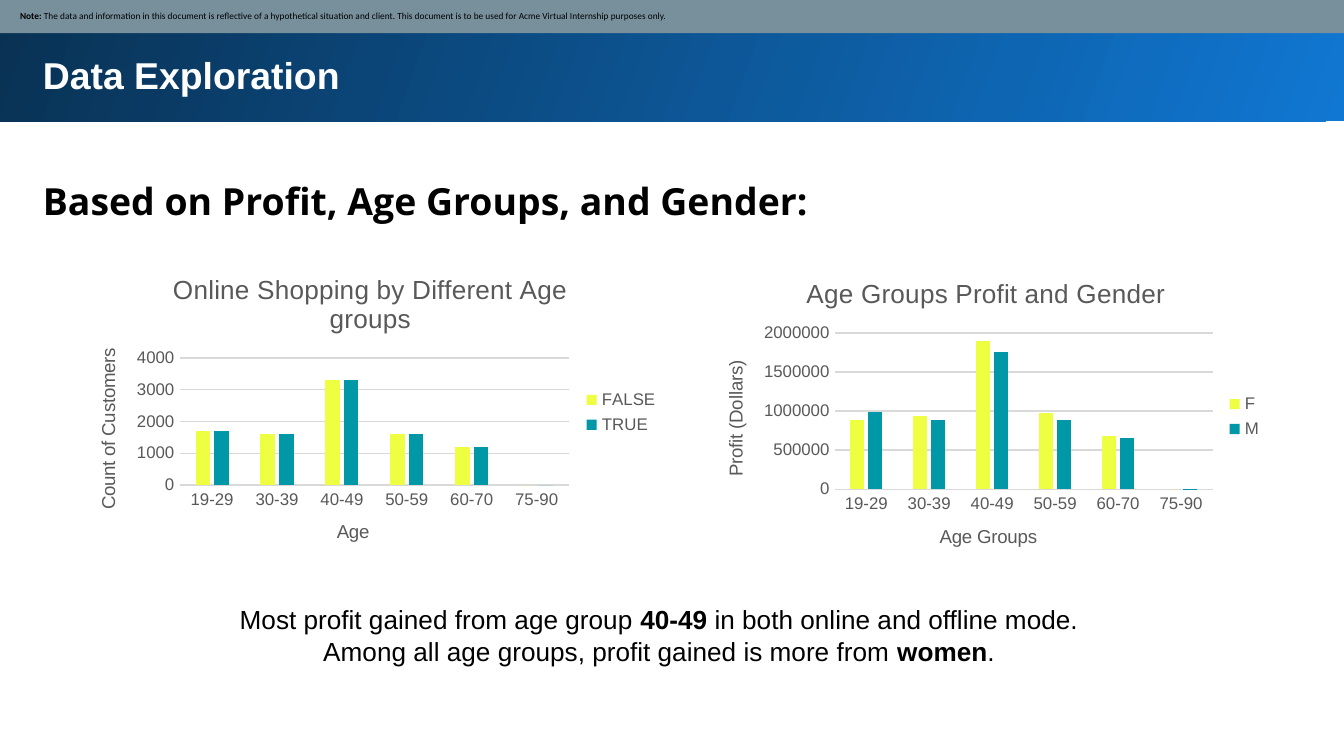
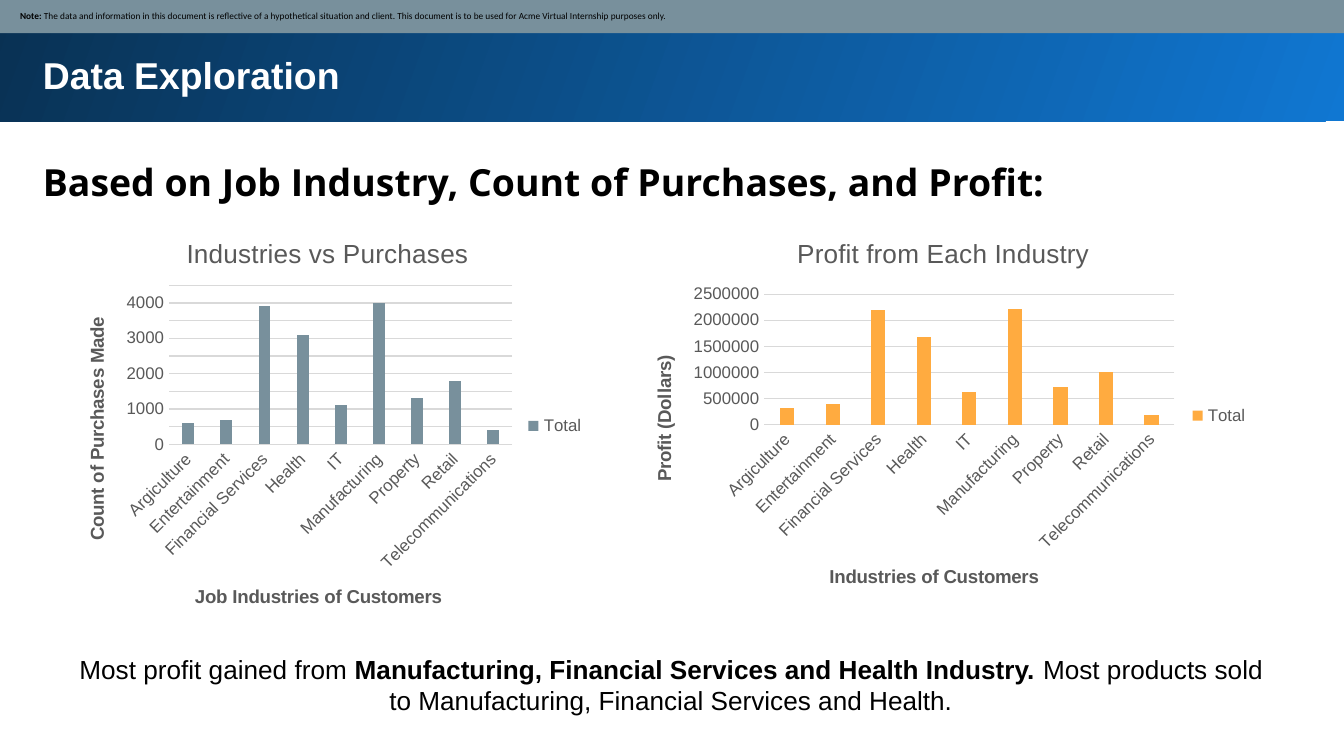
from pptx import Presentation
from pptx.chart.data import CategoryChartData
from pptx.dml.color import RGBColor
from pptx.enum.chart import XL_CHART_TYPE as CT, XL_LEGEND_POSITION as LP, XL_TICK_MARK as TM
from pptx.enum.shapes import MSO_SHAPE as SH
from pptx.enum.text import MSO_ANCHOR as VA, MSO_AUTO_SIZE as AS, PP_ALIGN as AL
from pptx.util import Cm, Pt

BLUE, NAVY, SLATE = "1077D2", "093153", "78909C"
LIME, TEAL, AMBER = "EEFF41", "0097A7", "FFAB40"
BLACK, WHITE, GRAY, GRID = "000000", "FFFFFF", "595959", "D9D9D9"
AGES = ["19-29", "30-39", "40-49", "50-59", "60-70", "75-90"]
INDUSTRIES = ["Argiculture", "Entertainment", "Financial Services", "Health", "IT",
              "Manufacturing", "Property", "Retail", "Telecommunications"]
NOTE = ("The data and information in this document is reflective of a hypothetical situation "
        "and client. This document is to be used for Acme Virtual Internship purposes only.")


def rgb(value):
    return RGBColor.from_string(value)


def put(obj, **values):
    for name, value in values.items():
        setattr(obj, name, value)


def style(font, size, color, name="Arial", bold=False):
    put(font, size=Pt(size), name=name, bold=bold)
    font.color.rgb = rgb(color)


class Deck:
    def __init__(self):
        self.prs = Presentation()
        put(self.prs, slide_width=Cm(25.4), slide_height=Cm(14.29))
        self.s = None

    def slide(self, title, headline, top):
        self.s = self.prs.slides.add_slide(self.prs.slide_layouts[5])
        fill = self.rect(-0.05, -0.05, 25.53, 2.34).fill
        fill.gradient()
        fill.gradient_angle = 160
        for stop, color, position in zip(fill.gradient_stops, (BLUE, NAVY), (0, 1)):
            stop.color.rgb = rgb(color)
            stop.position = position
        self.title(title)
        self.text(0.56, top, 23.8, 1.42, [[(headline, True)]], 20, "Open Sans",
                  inset=0.25, line_spacing=1.15)
        self.note()

    def rect(self, x, y, w, h):
        sp = self.s.shapes.add_shape(SH.RECTANGLE, Cm(x), Cm(y), Cm(w), Cm(h))
        sp.shadow.inherit = False
        sp.line.fill.background()
        return sp

    def title(self, words):
        sp = self.s.shapes.title
        put(sp, left=Cm(0.56), top=Cm(0.74), width=Cm(23.8), height=Cm(1.3))
        self.s.shapes._spTree.append(sp._element)
        self.set_text(sp.text_frame, [[(words, True)]], 20, color=WHITE, inset=0.25)

    def note(self):
        sp = self.rect(-0.03, -0.03, 25.48, 0.66)
        sp.fill.solid()
        sp.fill.fore_color.rgb = rgb(SLATE)
        self.set_text(sp.text_frame, [[("Note: ", True), (NOTE, False)]], 5, "Calibri")
        put(sp.text_frame, vertical_anchor=VA.MIDDLE, margin_left=Cm(0.41), auto_size=AS.NONE)

    def text(self, x, y, w, h, *args, **kw):
        sp = self.s.shapes.add_textbox(Cm(x), Cm(y), Cm(w), Cm(h))
        self.set_text(sp.text_frame, *args, **kw)

    def set_text(self, tf, paragraphs, size, font="Arial", color=BLACK, inset=0.13,
                 alignment=AL.LEFT, line_spacing=1):
        put(tf, word_wrap=True, auto_size=AS.SHAPE_TO_FIT_TEXT, vertical_anchor=VA.TOP)
        for side in ("left", "right", "top", "bottom"):
            setattr(tf, "margin_" + side, Cm(inset))
        for i, runs in enumerate(paragraphs):
            p = tf.add_paragraph() if i else tf.paragraphs[0]
            put(p, alignment=alignment, line_spacing=line_spacing)
            for words, bold in runs:
                r = p.add_run()
                r.text = words
                style(r.font, size, color, font, bold)

    def summary(self, x, y, paragraphs):
        self.text(x, y, 22.73, 1.45, paragraphs, 14, alignment=AL.CENTER)

    def heading(self, tf, words, size, bold=False):
        tf.text = words
        style(tf.paragraphs[0].runs[0].font, size, GRAY, bold=bold)

    def chart(self, x, y, w, h, title, cat_title, val_title, cats, series, bold=False):
        data = CategoryChartData()
        data.categories = cats
        for name, _, values in series:
            data.add_series(name, values)
        ch = self.s.shapes.add_chart(CT.COLUMN_CLUSTERED, Cm(x), Cm(y), Cm(w), Cm(h), data).chart
        style(ch.font, 10, BLACK)
        self.heading(ch.chart_title.text_frame, title, 14)
        ch.has_legend = True
        put(ch.legend, position=LP.RIGHT, include_in_layout=False)
        style(ch.legend.font, 9, GRAY)
        for axis, words in ((ch.category_axis, cat_title), (ch.value_axis, val_title)):
            put(axis, major_tick_mark=TM.NONE, minor_tick_mark=TM.NONE)
            style(axis.tick_labels.font, 9, GRAY)
            self.heading(axis.axis_title.text_frame, words, 10, bold)
        ch.category_axis._element.txPr.bodyPr.set("rot", "-60000000")
        ch.value_axis.format.line.fill.background()
        for line in (ch.category_axis.format.line, ch.value_axis.major_gridlines.format.line):
            line.color.rgb = rgb(GRID)
            line.width = Pt(0.75)
        plot = ch.plots[0]
        put(plot, gap_width=219, overlap=-27, vary_by_categories=False)
        for ser, (_, color, _) in zip(plot.series, series):
            ser.format.fill.solid()
            ser.format.fill.fore_color.rgb = rgb(color)


deck = Deck()

deck.slide("Data Exploration", "Based on Profit, Age Groups, and Gender:", 3)
deck.summary(1.09, 11.28, [
    [("Most profit gained from age group ", False), ("40-49", True),
     (" in both online and offline mode.", False)],
    [("Among all age groups, profit gained is more from ", False), ("women", True), (".", False)],
])
deck.chart(13.16, 4.88, 10.95, 5.99, "Age Groups Profit and Gender", "Age Groups",
           "Profit (Dollars)", AGES, [
               ("F", LIME, [880000, 940000, 1890000, 970000, 680000, 0]),
               ("M", TEAL, [990000, 880000, 1760000, 880000, 660000, 10000])])
deck.chart(1.3, 4.8, 11.4, 5.99, "Online Shopping by Different Age groups", "Age",
           "Count of Customers", AGES, [
               ("FALSE", LIME, [1700, 1600, 3300, 1600, 1200, 0]),
               ("TRUE", TEAL, [1700, 1600, 3300, 1600, 1200, 0])])

deck.slide("Data Exploration", "Based on Job Industry, Count of Purchases, and Profit:", 2.64)
deck.summary(1.32, 12.22, [
    [("Most profit gained from ", False),
     ("Manufacturing, Financial Services and Health Industry. ", True),
     ("Most products sold to Manufacturing, Financial Services and Health.", False)],
])
deck.chart(1.09, 4.09, 10.21, 7.92, "Industries vs Purchases", "Job Industries of Customers",
           "Count of Purchases Made", INDUSTRIES, [
               ("Total", SLATE, [600, 700, 3900, 3100, 1100, 4000, 1300, 1800, 400])], True)
deck.chart(11.81, 4.09, 12.04, 7.54, "Profit from Each Industry", "Industries of Customers",
           "Profit (Dollars)", INDUSTRIES, [
               ("Total", AMBER, [310000, 390000, 2200000, 1690000, 620000, 2210000,
                                 720000, 1000000, 190000])], True)

deck.prs.save("out.pptx")
